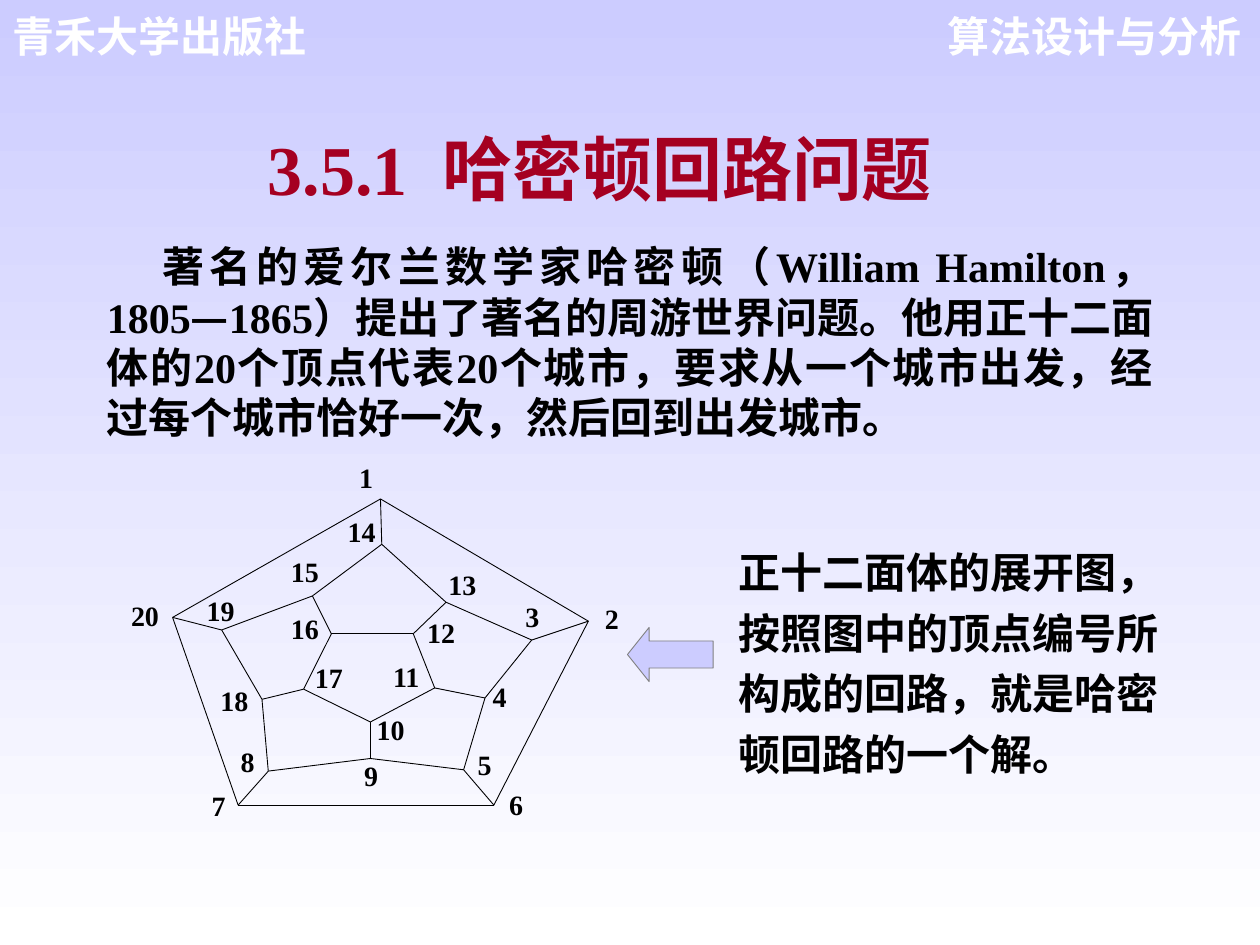
from dataclasses import dataclass
from itertools import groupby

from lxml import etree
from pptx import Presentation
from pptx.dml.color import RGBColor
from pptx.enum.shapes import MSO_CONNECTOR, MSO_SHAPE
from pptx.enum.text import MSO_ANCHOR, MSO_AUTO_SIZE, PP_ALIGN
from pptx.oxml.ns import qn
from pptx.util import Inches, Pt

LEFT, CENTER, RIGHT, JUSTIFY = PP_ALIGN.LEFT, PP_ALIGN.CENTER, PP_ALIGN.RIGHT, PP_ALIGN.JUSTIFY
FIT, TOP = MSO_AUTO_SIZE.SHAPE_TO_FIT_TEXT, MSO_ANCHOR.TOP
STRAIGHT, LEFT_ARROW = MSO_CONNECTOR.STRAIGHT, MSO_SHAPE.LEFT_ARROW

COLORS = {"lavender": "CCCCFF", "white": "FFFFFF", "crimson": "A50021",
          "black": "000000", "gray": "808080"}
LATIN, CJK, HEADER_FONT = "Times New Roman", "Noto Sans CJK SC", "Arial"

# The slide is a grid of 100 columns by 75 rows; every length counts cells.
COLS, ROWS = 100, 75
CELL = Inches(10) / COLS


@dataclass(frozen=True)
class Block:
    text: str
    box: tuple[float, float, float, float]
    size: float = 24
    color: str = "black"
    align: PP_ALIGN = LEFT
    leading: float = 1.2
    before: float = 15
    indent: float = 0
    font: str = CJK


@dataclass(frozen=True)
class Vertex:
    x: float
    y: float
    label_x: float
    label_y: float


HEADERS = [
    Block("青禾大学出版社", (0, 0, 27.1, 5), color="white", font=HEADER_FONT),
    Block("算法设计与分析", (72.4, 0, 27.1, 5), color="white", align=RIGHT, font=HEADER_FONT),
]
TITLE = Block("3.5.1 哈密顿回路问题", (10.1, 9.2, 75, 7.7), size=40, color="crimson",
              align=CENTER, before=25)
STORY = Block(
    "著名的爱尔兰数学家哈密顿（William Hamilton，1805—1865）提出了著名的周游世界问题。"
    "他用正十二面体的20个顶点代表20个城市，要求从一个城市出发，经过每个城市恰好一次，"
    "然后回到出发城市。",
    (7.5, 18.3, 85, 17), align=JUSTIFY, indent=4.4)
CAPTION = Block("正十二面体的展开图，按照图中的顶点编号所构成的回路，就是哈密顿回路的一个解。",
                (57.6, 41.8, 37.2, 20.2), leading=1.44)

VERTICES = {
    1: Vertex(30.2, 39.6, 28.5, 37.2), 2: Vertex(46.7, 49.3, 48, 48.4),
    3: Vertex(42.2, 50.8, 41.7, 48.3), 4: Vertex(38.5, 55.4, 39.1, 54.6),
    5: Vertex(36.8, 61.1, 37.9, 60), 6: Vertex(39.2, 63.9, 40.4, 63.2),
    7: Vertex(18.9, 63.9, 16.8, 63.3), 8: Vertex(21.3, 61.2, 19.1, 59.8),
    9: Vertex(29.4, 60.2, 28.9, 60.9), 10: Vertex(29.4, 57.3, 29.9, 57.2),
    11: Vertex(34.5, 54.6, 31.2, 53), 12: Vertex(32.8, 50.3, 33.9, 49.5),
    13: Vertex(35.4, 47.8, 35.6, 45.7), 14: Vertex(30.3, 43.2, 27.6, 41.5),
    15: Vertex(24.8, 47.3, 23.1, 44.7), 16: Vertex(26.3, 50.3, 23.1, 49.2),
    17: Vertex(24.1, 54.7, 25, 53.1), 18: Vertex(20.8, 55.5, 17.5, 54.9),
    19: Vertex(17.6, 50, 16.4, 47.8), 20: Vertex(13.7, 49, 10.4, 48.2),
}
# Clockwise rings, from the outside to the inside
OUTER = [1, 2, 6, 7, 20]
CORNERS = [14, 3, 5, 8, 19]
BENDS = [13, 4, 9, 18, 15]
INNER = [12, 11, 10, 17, 16]


def cells(*counts: float) -> list[int]:
    return [round(n * CELL) for n in counts]


def rgb(name: str) -> RGBColor:
    return RGBColor.from_string(COLORS[name])


def write_runs(p, text: str, cjk_font: str) -> None:
    """Add one run for each stretch of Latin or Chinese text."""
    for is_latin, chars in groupby(text, str.isascii):
        r = p.add_run()
        r.text = "".join(chars)
        r.font.name = LATIN if is_latin else cjk_font
        etree.SubElement(r.font._element, qn("a:ea"), typeface=CJK)


def format_paragraph(p, size: float, color: str, align: PP_ALIGN) -> None:
    p.alignment = align
    p.font.size, p.font.bold = Pt(size), True
    p.font.color.rgb = rgb(color)


def fill_block(sp, block: Block) -> None:
    sp.left, sp.top, sp.width, sp.height = cells(*block.box)
    tf = sp.text_frame
    tf.word_wrap, tf.auto_size, tf.vertical_anchor = True, FIT, TOP
    tf.margin_left, tf.margin_top, tf.margin_right, tf.margin_bottom = cells(1, 0.8, 1, 0.2)
    p = tf.paragraphs[0]
    format_paragraph(p, block.size, block.color, block.align)
    p.line_spacing = Pt(block.size * block.leading)
    p.space_before = Pt(block.before)
    if block.indent:
        p._p.get_or_add_pPr().set("indent", str(cells(block.indent)[0]))
    write_runs(p, block.text, block.font)


def add_block(slide, block: Block) -> None:
    fill_block(slide.shapes.add_textbox(*cells(*block.box)), block)


def style_line(sp, color: str) -> None:
    sp.line.color.rgb = rgb(color)
    sp.line.width = Pt(0.5)


def add_edge(slide, start: int, end: int) -> None:
    a, b = VERTICES[start], VERTICES[end]
    line = slide.shapes.add_connector(STRAIGHT, *cells(a.x, a.y, b.x, b.y))
    style_line(line, "black")
    etree.SubElement(line._element.spPr, qn("a:effectLst"))


def add_bent_edge(slide, *numbers: int) -> None:
    first, *rest = [cells(VERTICES[n].x, VERTICES[n].y) for n in numbers]
    builder = slide.shapes.build_freeform(*first)
    builder.add_line_segments(rest, close=False)
    sp = builder.convert_to_shape()
    sp.fill.background()
    sp.shadow.inherit = False
    style_line(sp, "black")


def add_label(slide, number: int) -> None:
    v = VERTICES[number]
    tf = slide.shapes.add_textbox(*cells(v.label_x, v.label_y, 3, 1.9)).text_frame
    tf.word_wrap = True
    tf.margin_left = tf.margin_top = tf.margin_right = tf.margin_bottom = 0
    p = tf.paragraphs[0]
    format_paragraph(p, 16, "black", JUSTIFY)
    p.line_spacing = 0.72
    write_runs(p, str(number), CJK)


def add_graph(slide) -> None:
    for i in range(5):
        following = (i + 1) % 5
        add_edge(slide, OUTER[i], OUTER[following])
        add_edge(slide, OUTER[i], CORNERS[i])
        add_bent_edge(slide, CORNERS[i], BENDS[i], CORNERS[following])
        add_edge(slide, BENDS[i], INNER[i])
        add_edge(slide, INNER[i], INNER[following])
    for number in VERTICES:
        add_label(slide, number)


def add_arrow(slide) -> None:
    sp = slide.shapes.add_shape(LEFT_ARROW, *cells(49.8, 49.8, 6.8, 4.3))
    sp.adjustments[0], sp.adjustments[1] = 0.5, 0.4
    sp.fill.solid()
    sp.fill.fore_color.rgb = rgb("lavender")
    sp.shadow.inherit = False
    style_line(sp, "gray")


def paint_background(slide) -> None:
    fill = slide.background.fill
    fill.gradient()
    fill.gradient_angle = 270
    for stop, color in zip(fill.gradient_stops, ("lavender", "white")):
        stop.color.rgb = rgb(color)


def main() -> None:
    prs = Presentation()
    prs.slide_width, prs.slide_height = cells(COLS, ROWS)
    slide = prs.slides.add_slide(prs.slide_layouts[5])
    paint_background(slide)
    fill_block(slide.shapes.title, TITLE)
    # Widen the space between the section number and its name
    slide.shapes.title.text_frame.paragraphs[0].runs[0].text = "3.5.1\u2002".replace("\u2002", "  ")
    for block in [*HEADERS, STORY]:
        add_block(slide, block)
    add_graph(slide)
    add_block(slide, CAPTION)
    add_arrow(slide)
    prs.save("out.pptx")


if __name__ == "__main__":
    main()
